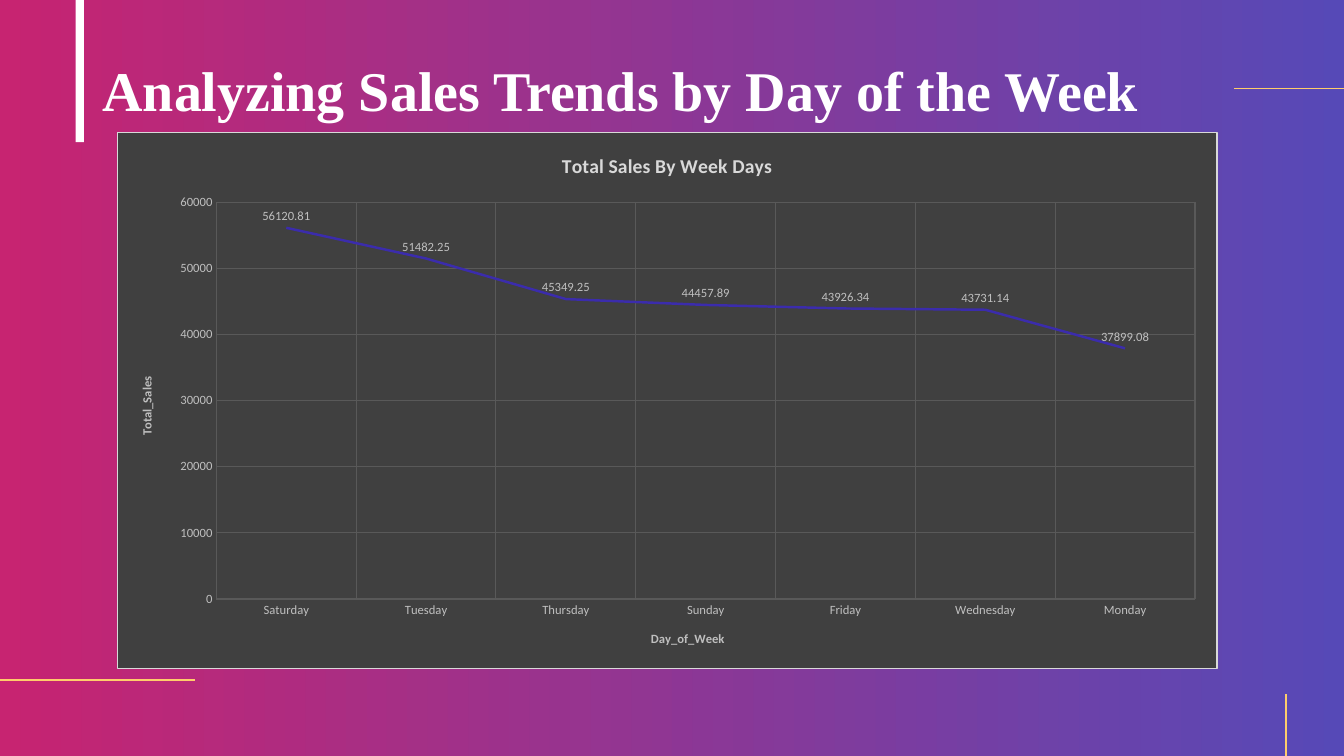
from lxml import etree
from pptx import Presentation
from pptx.chart.data import CategoryChartData
from pptx.dml.color import RGBColor
from pptx.enum import chart as ch, shapes, text
from pptx.oxml import ns
from pptx.util import Pt

TITLE = "Analyzing Sales Trends by Day of the Week"
CHART = "Total Sales By Week Days"
AXES = ("Day_of_Week", "Total_Sales")
SALES = {
    "Saturday": 56120.81, "Tuesday": 51482.25, "Thursday": 45349.25,
    "Sunday": 44457.89, "Friday": 43926.34, "Wednesday": 43731.14,
    "Monday": 37899.08,
}
WIDE, HIGH = 960, 540
BAR = (54, 0, 6, 101.5)
HEAD = (66.2, 14.4, 828, 104.4)
PANEL = (83.5, 94.3, 786.2, 383.8)
PLOT = {"x": 0.09, "y": 0.13, "w": 0.89, "h": 0.74}  # shares of the panel
RULES = [  # x1, y1, x2, y2, weight
    (881.3, 63.2, WIDE, 63.2, 0.5),
    (0, 485.8, 139.2, 485.8, 1.5),
    (918.5, HIGH, 918.5, 496, 1.5),
]
THEME = {
    "left": "BE005A", "right": "3B2CAC", "alpha": 85, "white": "FFFFFF",
    "gold": "FFCD6B", "panel": "404040", "edge": "D9D9D9", "grid": "595959",
    "label": "BFBFBF", "serif": "Times New Roman", "sans": "Calibri",
    "head": 40, "chart": 14, "small": 9,
}


def rgb(key):
    return RGBColor.from_string(THEME[key])


def pts(vals):
    return [Pt(v) for v in vals]


def style(font, face, size, color, bold=False):
    font.name, font.size, font.bold = THEME[face], Pt(THEME[size]), bold
    font.color.rgb = rgb(color)


def stroke(line, color, weight):
    line.color.rgb, line.width = rgb(color), Pt(weight)


def add(node, tag, **attrs):
    return etree.SubElement(node, ns.qn(tag), attrs)


def block(slide, box):
    shape = slide.shapes.add_shape(shapes.MSO_SHAPE.RECTANGLE, *pts(box))
    shape.shadow.inherit = False
    shape.line.fill.background()
    return shape


def decor(slide):
    back = block(slide, (0, 0, WIDE, HIGH))
    back.fill.gradient()
    back.fill.gradient_angle = 0
    for stop, key in zip(back.fill.gradient_stops, ("left", "right")):
        stop.color.rgb = rgb(key)
    for color in back.element.spPr.iter(ns.qn("a:srgbClr")):
        add(color, "a:alpha", val=str(THEME["alpha"] * 1000))
    bar = block(slide, BAR)
    bar.fill.solid()
    bar.fill.fore_color.rgb = rgb("white")
    for *ends, weight in RULES:
        rule = slide.shapes.add_connector(
            shapes.MSO_CONNECTOR.STRAIGHT, *pts(ends))
        stroke(rule.line, "gold", weight)
        add(rule.element.spPr, "a:effectLst")


def label(owner, words, size, color):
    """Give a chart or an axis its title."""
    owner.has_title = True
    frame = owner.chart_title if size == "chart" else owner.axis_title
    run = frame.text_frame.paragraphs[0].add_run()
    run.text = words
    style(run.font, "sans", size, color, True)
    return frame.text_frame


def frame(chart):
    """Fill and outline the chart area and fix the plot's place in it."""
    root = chart.element
    props = etree.Element(ns.qn("c:spPr"))
    fill = add(props, "a:solidFill")
    add(fill, "a:srgbClr", val=THEME["panel"])
    line = add(props, "a:ln", w=str(Pt(0.75)))
    add(add(line, "a:solidFill"), "a:srgbClr", val=THEME["edge"])
    root.find(ns.qn("c:txPr")).addprevious(props)
    area = root.find(".//" + ns.qn("c:plotArea"))
    for old in area.findall(ns.qn("c:layout")):
        area.remove(old)
    place = etree.Element(ns.qn("c:layout"))
    area.insert(0, place)
    spot = add(place, "c:manualLayout")
    add(spot, "c:layoutTarget", val="inner")
    for side in "xy":
        add(spot, f"c:{side}Mode", val="edge")
    for side, share in PLOT.items():
        add(spot, f"c:{side}", val=str(share))


def graph(slide):
    data = CategoryChartData()
    data.categories = list(SALES)
    data.add_series("Series 1", list(SALES.values()))
    chart = slide.shapes.add_chart(
        ch.XL_CHART_TYPE.LINE, *pts(PANEL), data).chart
    style(chart.font, "sans", "small", "label")
    chart.has_legend = False
    label(chart, CHART, "chart", "edge")
    frame(chart)
    for axis, words in zip((chart.category_axis, chart.value_axis), AXES):
        title = label(axis, words, "small", "label")
        axis.major_tick_mark = axis.minor_tick_mark = ch.XL_TICK_MARK.NONE
        axis.format.line.fill.background()
        axis.has_major_gridlines = True
        stroke(axis.major_gridlines.format.line, "grid", 0.75)
        style(axis.tick_labels.font, "sans", "small", "label")
    body = title._txBody.find(ns.qn("a:bodyPr"))
    body.set("rot", "-5400000")
    body.set("vert", "horz")
    scale = chart.value_axis
    scale.minimum_scale, scale.maximum_scale = 0, 60000
    scale.major_unit = 10000
    plot = chart.plots[0]
    plot.vary_by_categories = False
    trend = plot.series[0]
    trend.smooth = False
    trend.marker.style = ch.XL_MARKER_STYLE.NONE
    stroke(trend.format.line, "right", 1.75)
    tags = trend.data_labels
    tags.show_value = True
    tags.position = ch.XL_LABEL_POSITION.ABOVE
    style(tags.font, "sans", "small", "label")


def header(slide):
    body = slide.shapes.add_textbox(*pts(HEAD)).text_frame
    body.word_wrap = True
    body.vertical_anchor = text.MSO_ANCHOR.MIDDLE
    para = body.paragraphs[0]
    para.line_spacing = 0.9
    run = para.add_run()
    run.text = TITLE
    style(run.font, "serif", "head", "white", True)


def main():
    deck = Presentation()
    deck.slide_width, deck.slide_height = Pt(WIDE), Pt(HIGH)
    slide = deck.slides.add_slide(deck.slide_layouts[6])
    decor(slide)
    graph(slide)
    header(slide)
    deck.save("out.pptx")


if __name__ == "__main__":
    main()
